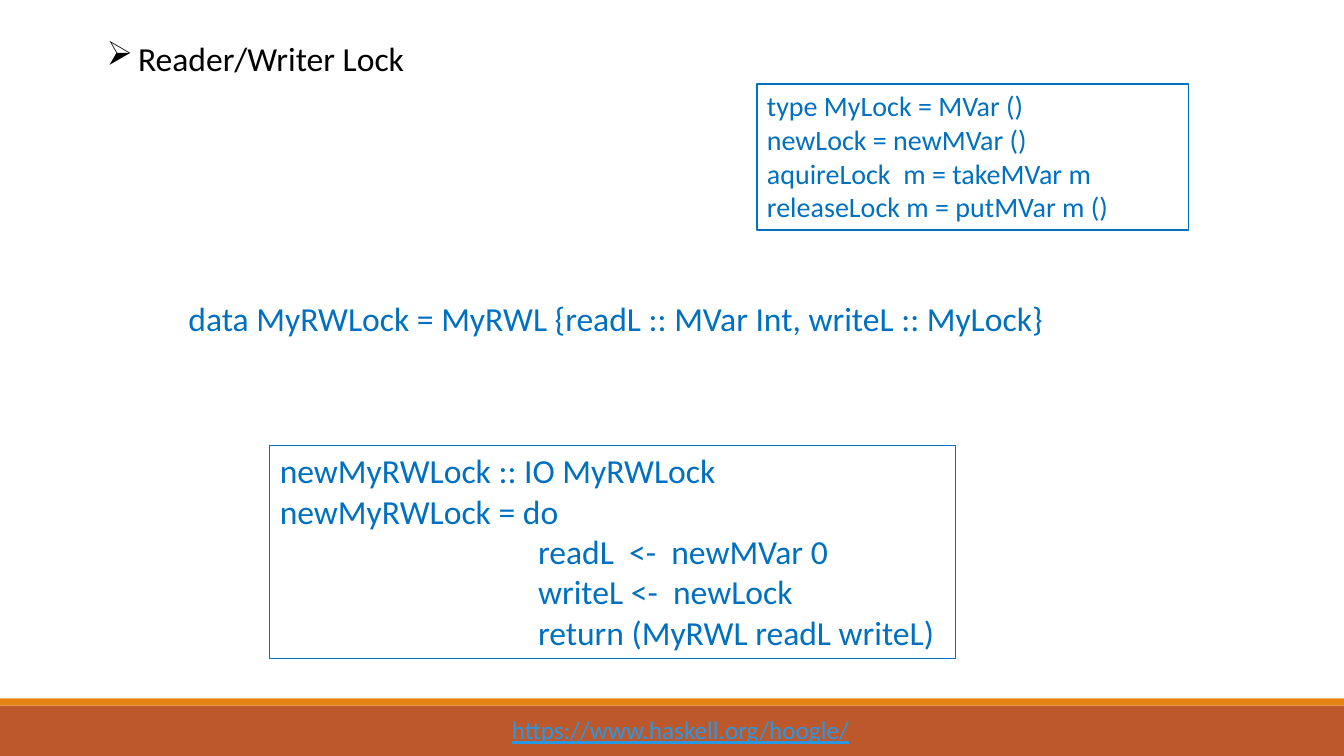
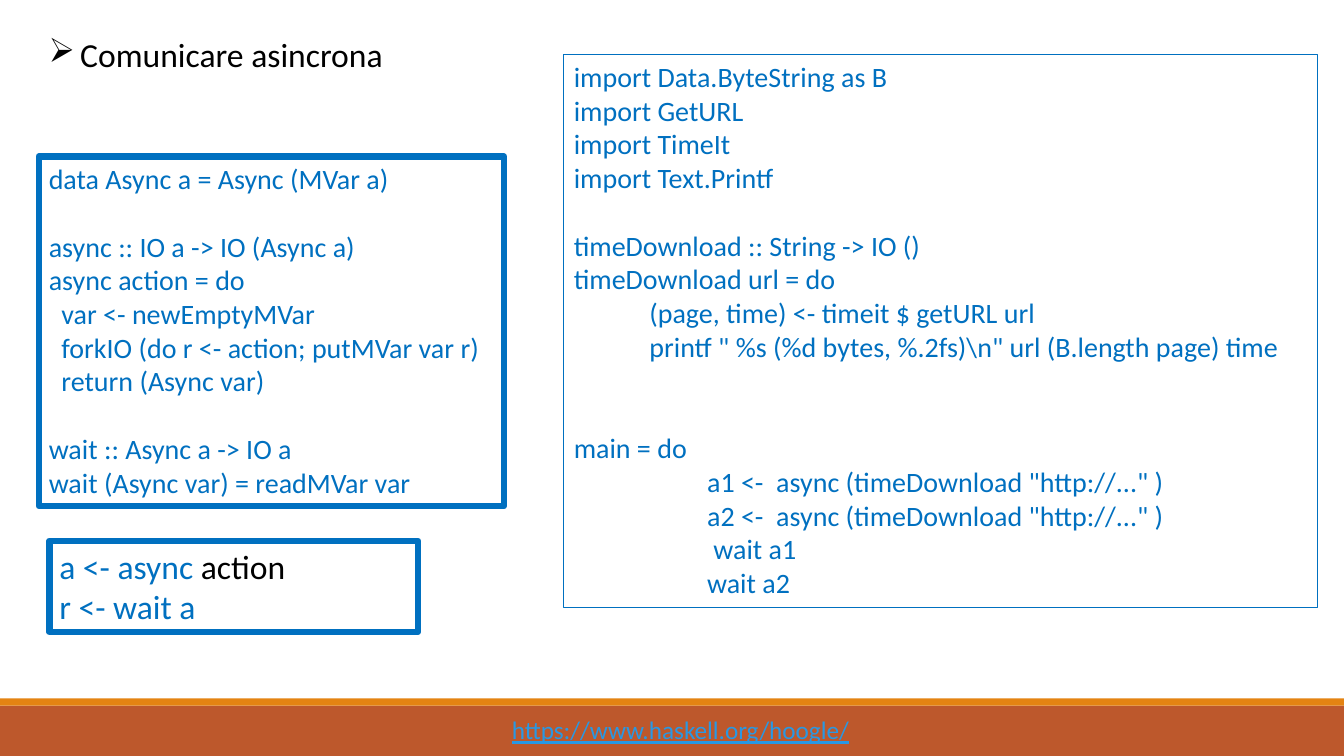
from dataclasses import dataclass

from lxml.etree import SubElement
from pptx import Presentation
from pptx.dml.color import RGBColor
from pptx.enum.shapes import MSO_SHAPE
from pptx.enum.text import MSO_ANCHOR, PP_ALIGN
from pptx.oxml.ns import qn
from pptx.util import Emu, Pt

EMU_PER_PX = 9525
PAGE_WIDTH, PAGE_HEIGHT = 1280, 720
BLANK_LAYOUT = 6
FONT = "Calibri"
LINE_HEIGHT = 1.22
COLORS = {
    "band": "BD582C",
    "strip": "E48312",
    "link": "2998E3",
    "title": "000000",
    "code": "0070C0",
    "paper": "FFFFFF",
}


@dataclass
class Line:
    """One line of code: (text, color) spans, an indent in px, blank lines above."""
    spans: list
    indent: int = 0
    gap: int = 0


def code(text, indent=0, gap=0):
    return Line([(text, "code")], indent, gap)


def px(length):
    return Emu(length * EMU_PER_PX)


def color(name):
    return RGBColor.from_string(COLORS[name])


def set_all(target, values):
    for name, value in values.items():
        setattr(target, name, value)


def add_span(para, text, color_name, size, **extra):
    span = para.add_run()
    span.text = text
    set_all(span.font, {"name": FONT, "size": Pt(size), **extra})
    span.font.color.rgb = color(color_name)


def set_indent(para, left, first=0):
    properties = para._p.get_or_add_pPr()
    properties.set("marL", str(px(left)))
    properties.set("indent", str(px(first)))
    return properties


def add_text(page, box):
    frame = page.shapes.add_textbox(*map(px, box)).text_frame
    frame.word_wrap = True
    return frame.paragraphs[0]


def add_rectangle(page, box, fill=None, line_width=0):
    shape = page.shapes.add_shape(MSO_SHAPE.RECTANGLE, *map(px, box))
    shape.shadow.inherit = False
    if fill:
        shape.fill.solid()
        shape.fill.fore_color.rgb = color(fill)
    else:
        shape.fill.background()
    if line_width:
        shape.line.width = Pt(line_width)
        shape.line.color.rgb = color("code")
    else:
        shape.line.fill.background()
    return shape


def add_footer(page, box):
    """Draw the footer on the page, then move it to the layout all pages share."""
    left, top, width, height = box
    strip = 7
    add_rectangle(page, (left, top + strip, width, height - strip), "band")
    add_rectangle(page, (left, top, width, strip), "strip")
    para = add_text(page, (left + 478, top + 11, 360, 38))
    add_span(para, "https://www.haskell.org/hoogle/", "link", 18, underline=True)
    for shape in list(page.shapes):
        page.slide_layout.shapes.element.append(shape.element)


def add_title(page, box, text):
    para = add_text(page, box)
    properties = set_indent(para, 30, -30)
    SubElement(properties, qn("a:buChar")).set("char", "➢")
    add_span(para, text, "title", 24)


def add_code(page, box, lines, size, line_width, fill=None):
    frame = add_rectangle(page, box, fill, line_width).text_frame
    set_all(frame, {"word_wrap": True, "vertical_anchor": MSO_ANCHOR.TOP})
    for index, line in enumerate(lines):
        para = frame.add_paragraph() if index else frame.paragraphs[0]
        para.alignment = PP_ALIGN.LEFT
        if line.indent:
            set_indent(para, line.indent)
        if line.gap:
            para.space_before = Pt(line.gap * size * LINE_HEIGHT)
        for text, color_name in line.spans:
            add_span(para, text, color_name, size)


def fill_lock_page(page):
    add_title(page, (92, 31, 320, 48), "Reader/Writer Lock")
    add_code(page, (721, 80, 411, 139), [
        code("type MyLock = MVar ()"),
        code("newLock = newMVar ()"),
        code("aquireLock  m = takeMVar m"),
        code("releaseLock m = putMVar m ()"),
    ], size=20, line_width=1.25, fill="paper")
    add_code(page, (257, 424, 653, 203), [
        code("newMyRWLock :: IO MyRWLock"),
        code("newMyRWLock = do"),
        code("readL  <-  newMVar 0", 246),
        code("writeL <-  newLock", 246),
        code("return (MyRWL readL writeL)", 246),
    ], size=24, line_width=0.75)
    para = add_text(page, (170, 279, 888, 48))
    add_span(para, "data MyRWLock = MyRWL {readL :: MVar Int, writeL :: MyLock}",
             "code", 24)


def fill_async_page(page):
    add_code(page, (37, 149, 443, 333), [
        code("data Async a = Async (MVar a)"),
        code("async :: IO a -> IO (Async a)", gap=1),
        code("async action = do"),
        code("var <- newEmptyMVar", 12),
        code("forkIO (do r <- action; putMVar var r)", 12),
        code("return (Async var)", 12),
        code("wait :: Async a -> IO a", gap=1),
        code("wait (Async var) = readMVar var"),
    ], size=20, line_width=4.5)
    add_title(page, (37, 28, 370, 48), "Comunicare asincrona")
    add_code(page, (537, 52, 718, 527), [
        code("import Data.ByteString as B"),
        code("import GetURL"),
        code("import TimeIt"),
        code("import Text.Printf"),
        code("timeDownload :: String -> IO ()", gap=1),
        code("timeDownload url = do"),
        code("(page, time) <- timeit $ getURL url", 72),
        code('printf " %s (%d bytes, %.2fs)\\n" url (B.length page) time', 72),
        code("main = do", gap=2),
        code('a1 <-  async (timeDownload "http://..." )', 127),
        code('a2 <-  async (timeDownload "http://..." )', 127),
        code("wait a1", 133),
        code("wait a2", 127),
    ], size=20, line_width=0.75)
    add_code(page, (47, 515, 351, 87), [
        Line([("a <- async ", "code"), ("action", "title")]),
        code("r <- wait a"),
    ], size=24, line_width=4.5)


def main():
    deck = Presentation()
    set_all(deck, {"slide_width": px(PAGE_WIDTH), "slide_height": px(PAGE_HEIGHT)})
    layout = deck.slide_layouts[BLANK_LAYOUT]
    lock_page, async_page = (deck.slides.add_slide(layout) for _ in range(2))
    add_footer(lock_page, (0, 665, PAGE_WIDTH, 55))
    fill_lock_page(lock_page)
    fill_async_page(async_page)
    deck.save("out.pptx")


if __name__ == "__main__":
    main()
